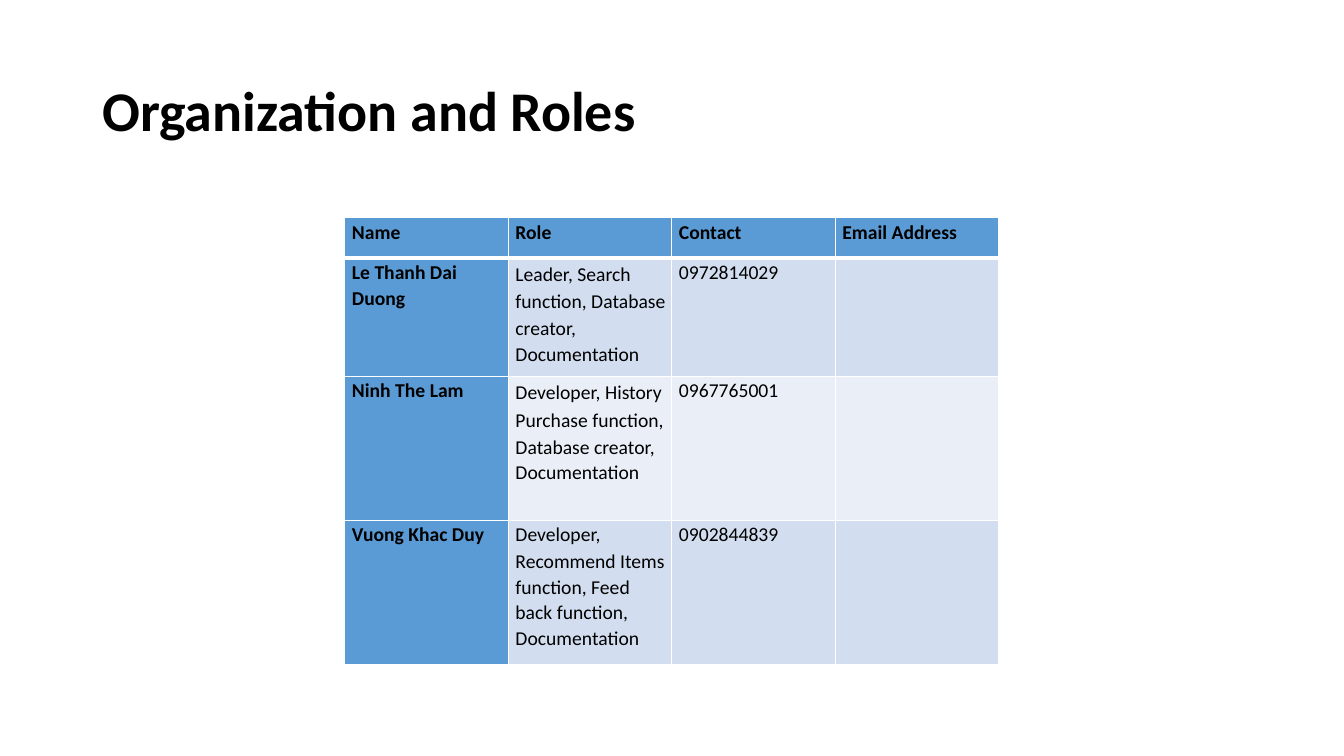
from dataclasses import dataclass

from lxml import etree
from pptx import Presentation
from pptx import util as u
from pptx.dml.color import RGBColor
from pptx.enum import text
from pptx.oxml.ns import qn

FONT = "Calibri"
COLORS = {
    "ink": "000000",
    "border": "FFFFFF",
    "accent": "5B9BD5",
    "band_dark": "D2DEEF",
    "band_light": "EAEFF7",
}
HEADINGS = ("Name", "Role", "Contact", "Email Address")
COLUMN_WIDTH = 4.12
HEADER_HEIGHT = 1.02


@dataclass(frozen=True)
class Line:
    words: str
    spacing: float = 1.07
    after: float = 0


@dataclass(frozen=True)
class Member:
    name: str
    role: tuple[Line, ...]
    contact: str
    height: float


MEMBERS = (
    Member("Le Thanh Dai Duong",
           (Line("Leader, Search function, Database creator,", 1.14),
            Line("Documentation")),
           "0972814029", 2.97),
    Member("Ninh The Lam",
           (Line("Developer, History Purchase function, Database creator,", 1.15),
            Line("Documentation")),
           "0967765001", 3.63),
    Member("Vuong Khac Duy",
           (Line("Developer,", after=1.1),
            Line("Recommend Items function, Feed back function, Documentation")),
           "0902844839", 3.63),
)


def write_lines(frame, lines: tuple[Line, ...], size: float, bold: bool) -> None:
    for index, line in enumerate(lines):
        para = frame.paragraphs[0] if index == 0 else frame.add_paragraph()
        para.line_spacing = line.spacing
        para.space_after = u.Pt(line.after)
        span = para.add_run()
        span.text = line.words
        span.font.name = FONT
        span.font.size = u.Pt(size)
        span.font.bold = bold
        span.font.color.rgb = RGBColor.from_string(COLORS["ink"])


def set_borders(cell, bottom: float) -> None:
    """Draw white cell edges, with the bottom one in its own width (points)."""
    properties = cell._tc.get_or_add_tcPr()
    widths = {"a:lnL": 1, "a:lnR": 1, "a:lnT": 1, "a:lnB": bottom}
    for position, (tag, width) in enumerate(widths.items()):
        edge = etree.Element(qn(tag), w=str(u.Pt(width)))
        fill = etree.SubElement(edge, qn("a:solidFill"))
        etree.SubElement(fill, qn("a:srgbClr"), val=COLORS["border"])
        properties.insert(position, edge)


def fill_cell(cell, lines: tuple[Line, ...], color: str, bold: bool,
              bottom: float = 1) -> None:
    cell.margin_left, cell.margin_right = u.Cm(0.18), u.Cm(0.1)
    cell.margin_top, cell.margin_bottom = u.Cm(0.03), u.Cm(0)
    cell.fill.solid()
    cell.fill.fore_color.rgb = RGBColor.from_string(COLORS[color])
    set_borders(cell, bottom)
    write_lines(cell.text_frame, lines, 14, bold)


def add_title(page) -> None:
    box = page.shapes.add_textbox(u.Cm(2.33), u.Cm(1.01), u.Cm(29.21), u.Cm(3.68))
    box.text_frame.word_wrap = True
    box.text_frame.vertical_anchor = text.MSO_ANCHOR.MIDDLE
    write_lines(box.text_frame, (Line("Organization and Roles", 0.9),), 40, True)


def add_roles_table(page) -> None:
    heights = [HEADER_HEIGHT] + [member.height for member in MEMBERS]
    table = page.shapes.add_table(
        len(heights), len(HEADINGS), u.Cm(8.69), u.Cm(5.49),
        u.Cm(COLUMN_WIDTH * len(HEADINGS)), u.Cm(sum(heights))).table
    for column in table.columns:
        column.width = u.Cm(COLUMN_WIDTH)
    for row, height in zip(table.rows, heights):
        row.height = u.Cm(height)

    for column, heading in enumerate(HEADINGS):
        fill_cell(table.cell(0, column), (Line(heading),), "accent", True, bottom=3)
    for row, member in enumerate(MEMBERS, start=1):
        band = "band_dark" if row % 2 else "band_light"
        entries = ((Line(member.name),), member.role, (Line(member.contact),), ())
        for column, lines in enumerate(entries):
            is_name = column == 0
            fill_cell(table.cell(row, column), lines,
                      "accent" if is_name else band, is_name)


def main() -> None:
    deck = Presentation()
    deck.slide_width, deck.slide_height = u.Cm(33.87), u.Cm(19.05)
    page = deck.slides.add_slide(deck.slide_layouts[6])
    add_title(page)
    add_roles_table(page)
    deck.save("out.pptx")


if __name__ == "__main__":
    main()
